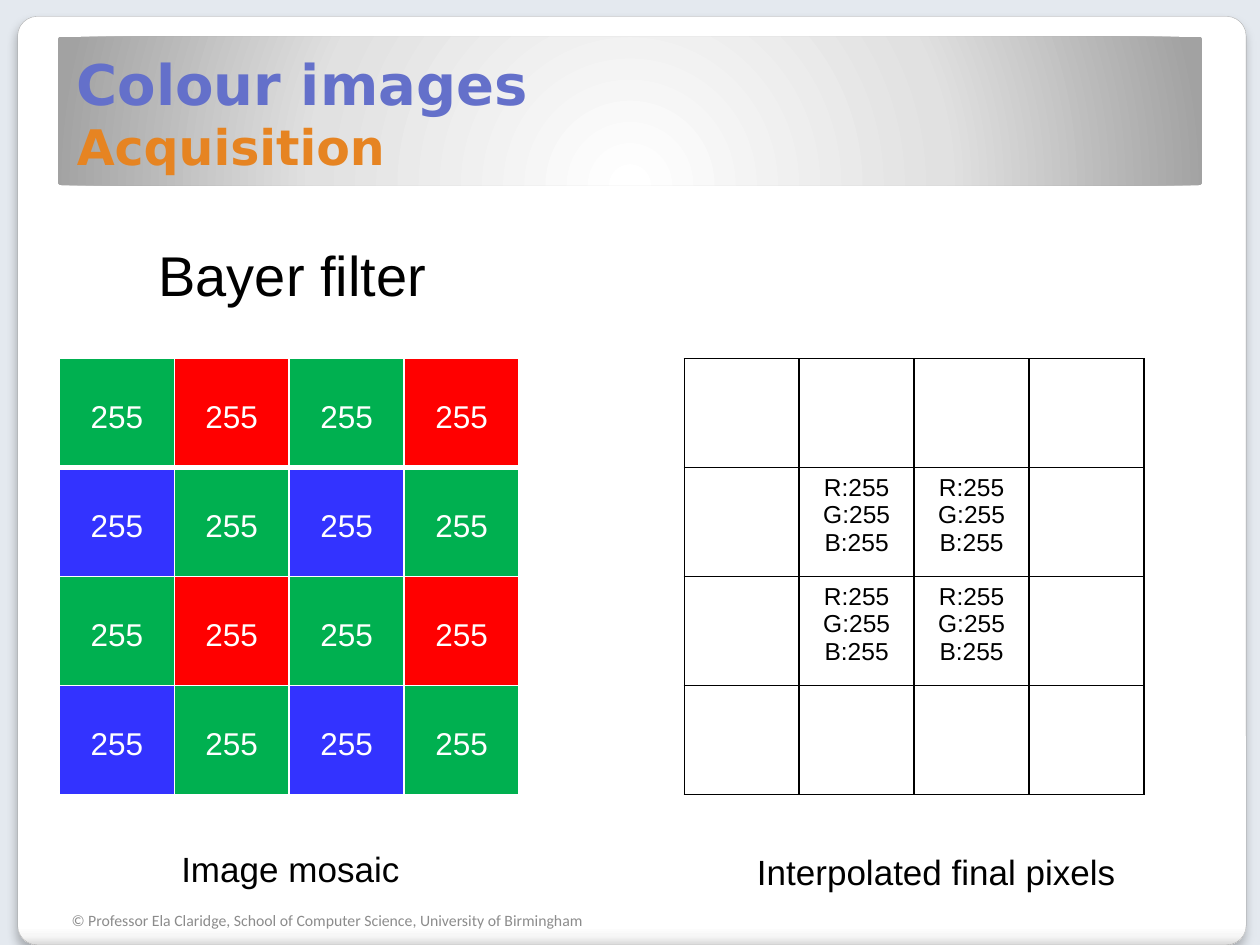
from dataclasses import dataclass

from pptx import Presentation
from pptx.dml.color import RGBColor
from pptx.enum import shapes, text
from pptx.oxml import ns, parse_xml
from pptx.util import Pt

WHITE = RGBColor(0xFF, 0xFF, 0xFF)
BLACK = RGBColor(0, 0, 0)
GREEN = RGBColor(0x00, 0xB0, 0x50)
RED = RGBColor(0xFF, 0, 0)
BLUE = RGBColor(0x33, 0x33, 0xFF)
BACKDROP = RGBColor(0xE4, 0xE9, 0xEF)
OUTLINE = RGBColor(0xA4, 0xA4, 0xA4)
HEADING = RGBColor(0x64, 0x70, 0xCA)
SUBHEADING = RGBColor(0xE6, 0x84, 0x22)
FOOTER_GREY = RGBColor(0x8C, 0x8C, 0x8C)

GRID_SIZE = 4
CELL_WIDTH = 65.7
CELL_HEIGHT = 62.3


@dataclass
class Panel:
    left: float
    top: float
    width: float
    height: float
    stops: list
    direction: str


@dataclass
class Label:
    words: str
    left: float
    top: float
    width: float
    height: float
    size: float
    font: str = "Arial"
    color: RGBColor = BLACK
    anchor: text.MSO_ANCHOR = text.MSO_ANCHOR.TOP
    wrap: bool = False


@dataclass
class Cell:
    lines: list
    fill: RGBColor
    color: RGBColor
    size: float
    spacing: float = 1.0


PAGE = Panel(10.1, 9.4, 702, 530.6,
             [(0, "FFFFFF"), (98, "FFFFFF"), (99, "F7F7F7"), (100, "DADADA")],
             '<a:lin ang="5400000" scaled="0"/>')
BANNER = Panel(33.1, 20.9, 653.8, 85,
               [(0, "FFFFFF"), (55, "E1E1E1"), (100, "A2A2A2")],
               '<a:path path="circle"><a:fillToRect l="50000" t="175000" '
               'r="50000" b="-75000"/></a:path>')
LABELS = [
    Label("Bayer filter", 83.5, 133.9, 168.5, 46, 32),
    Label("Image mosaic", 96.5, 481, 140.4, 31.5, 20),
    Label("Interpolated final pixels", 425.5, 482.4, 221, 31.5, 20),
]
FOOTER = Label("© Professor Ela Claridge, School of Computer Science, "
               "University of Birmingham", 33.8, 511.2, 450, 28.8, 9,
               "Calibri", FOOTER_GREY, text.MSO_ANCHOR.MIDDLE, True)


def draw_panel(slide, panel: Panel, depth: int):
    shape = slide.shapes.add_shape(
        shapes.MSO_SHAPE.ROUNDED_RECTANGLE, Pt(panel.left), Pt(panel.top),
        Pt(panel.width), Pt(panel.height))
    shape.adjustments[0] = 0.021
    shape.shadow.inherit = False
    shape.line.fill.background()
    shape.fill.background()
    stops = "".join(
        f'<a:gs pos="{position * 1000}"><a:srgbClr val="{color}"/></a:gs>'
        for position, color in panel.stops)
    gradient = parse_xml(
        f'<a:gradFill {ns.nsdecls("a")} rotWithShape="1"><a:gsLst>{stops}</a:gsLst>'
        f'{panel.direction}</a:gradFill>')
    properties = shape._element.spPr
    properties.replace(properties.find(ns.qn("a:noFill")), gradient)
    slide.shapes._spTree.insert(2 + depth, shape._element)
    return shape


def add_shadow(shape) -> None:
    shape._element.spPr.find(ns.qn("a:effectLst")).append(parse_xml(
        f'<a:outerShdw {ns.nsdecls("a")} blurRad="{Pt(6)}" dist="{Pt(4)}" '
        'dir="5400000" algn="t" rotWithShape="0"><a:srgbClr val="000000">'
        '<a:alpha val="25000"/></a:srgbClr></a:outerShdw>'))


def style(font, size: float, color: RGBColor, name: str) -> None:
    font.size = Pt(size)
    font.color.rgb = color
    font.name = name


def draw_label(slide, label: Label) -> None:
    box = slide.shapes.add_textbox(Pt(label.left), Pt(label.top),
                                   Pt(label.width), Pt(label.height))
    frame = box.text_frame
    frame.word_wrap = label.wrap
    frame.vertical_anchor = label.anchor
    if not label.wrap:
        frame.auto_size = text.MSO_AUTO_SIZE.SHAPE_TO_FIT_TEXT
    frame.text = label.words
    style(frame.paragraphs[0].font, label.size, label.color, label.font)


def draw_title(slide) -> None:
    title = slide.shapes.title
    title.left, title.top, title.width, title.height = (
        Pt(36.7), Pt(20.9), Pt(644.4), Pt(82.8))
    frame = title.text_frame
    frame.auto_size = text.MSO_AUTO_SIZE.NONE
    frame.vertical_anchor = text.MSO_ANCHOR.BOTTOM
    paragraph = frame.paragraphs[0]
    paragraph.alignment = text.PP_ALIGN.LEFT
    paragraph.font.bold = True
    heading = paragraph.add_run()
    heading.text = "Colour images"
    style(heading.font, 32, HEADING, "DejaVu Sans")
    paragraph.add_line_break()
    subheading = paragraph.add_run()
    subheading.text = "Acquisition"
    style(subheading.font, 28, SUBHEADING, "DejaVu Sans")


def set_borders(cell, color: RGBColor, top: float, bottom: float) -> None:
    properties = cell._tc.get_or_add_tcPr()
    widths = {"lnL": 1, "lnR": 1, "lnT": top, "lnB": bottom}
    for index, (side, width) in enumerate(widths.items()):
        properties.insert(index, parse_xml(
            f'<a:{side} {ns.nsdecls("a")} w="{Pt(width)}"><a:solidFill>'
            f'<a:srgbClr val="{color}"/></a:solidFill></a:{side}>'))


def draw_grid(slide, left: float, top: float, cells: list,
              border: RGBColor, header_rule: float) -> None:
    table = slide.shapes.add_table(
        GRID_SIZE, GRID_SIZE, Pt(left), Pt(top),
        Pt(CELL_WIDTH * GRID_SIZE), Pt(CELL_HEIGHT * GRID_SIZE)).table
    for index in range(GRID_SIZE):
        table.columns[index].width = Pt(CELL_WIDTH)
        table.rows[index].height = Pt(CELL_HEIGHT)
    table.first_row = table.horz_banding = False
    for row, row_cells in enumerate(cells):
        for column, content in enumerate(row_cells):
            cell = table.cell(row, column)
            cell.fill.solid()
            cell.fill.fore_color.rgb = content.fill
            set_borders(cell, border, header_rule if row == 1 else 1,
                        header_rule if row == 0 else 1)
            cell.text_frame.text = "\n".join(content.lines)
            for paragraph in cell.text_frame.paragraphs:
                paragraph.alignment = text.PP_ALIGN.CENTER
                paragraph.line_spacing = content.spacing
                style(paragraph.font, content.size, content.color, "Arial")


def mosaic_cell(row: int, column: int) -> Cell:
    off_green = BLUE if row % 2 else RED
    fill = off_green if (row + column) % 2 else GREEN
    if row % 2:
        fill = GREEN if column % 2 else BLUE
    return Cell(["255"], fill, WHITE, 18, 2.0)


def final_pixel(row: int, column: int) -> Cell:
    inner = row in (1, 2) and column in (1, 2)
    lines = [f"{channel}:255" for channel in "RGB"] if inner else []
    return Cell(lines, WHITE, BLACK, 14)


def grid_of(make_cell) -> list:
    return [[make_cell(row, column) for column in range(GRID_SIZE)]
            for row in range(GRID_SIZE)]


def main() -> None:
    deck = Presentation()
    deck.slide_width, deck.slide_height = Pt(720), Pt(540)
    slide = deck.slides.add_slide(deck.slide_layouts[5])
    slide.background.fill.solid()
    slide.background.fill.fore_color.rgb = BACKDROP
    page = draw_panel(slide, PAGE, 0)
    page.line.color.rgb = OUTLINE
    page.line.width = Pt(0.16)
    add_shadow(page)
    draw_panel(slide, BANNER, 1)
    draw_title(slide)
    for label in LABELS:
        draw_label(slide, label)
    draw_grid(slide, 33.9, 204.8, grid_of(mosaic_cell), WHITE, 3)
    draw_grid(slide, 391, 205, grid_of(final_pixel), BLACK, 1)
    draw_label(slide, FOOTER)
    deck.save("out.pptx")


if __name__ == "__main__":
    main()
